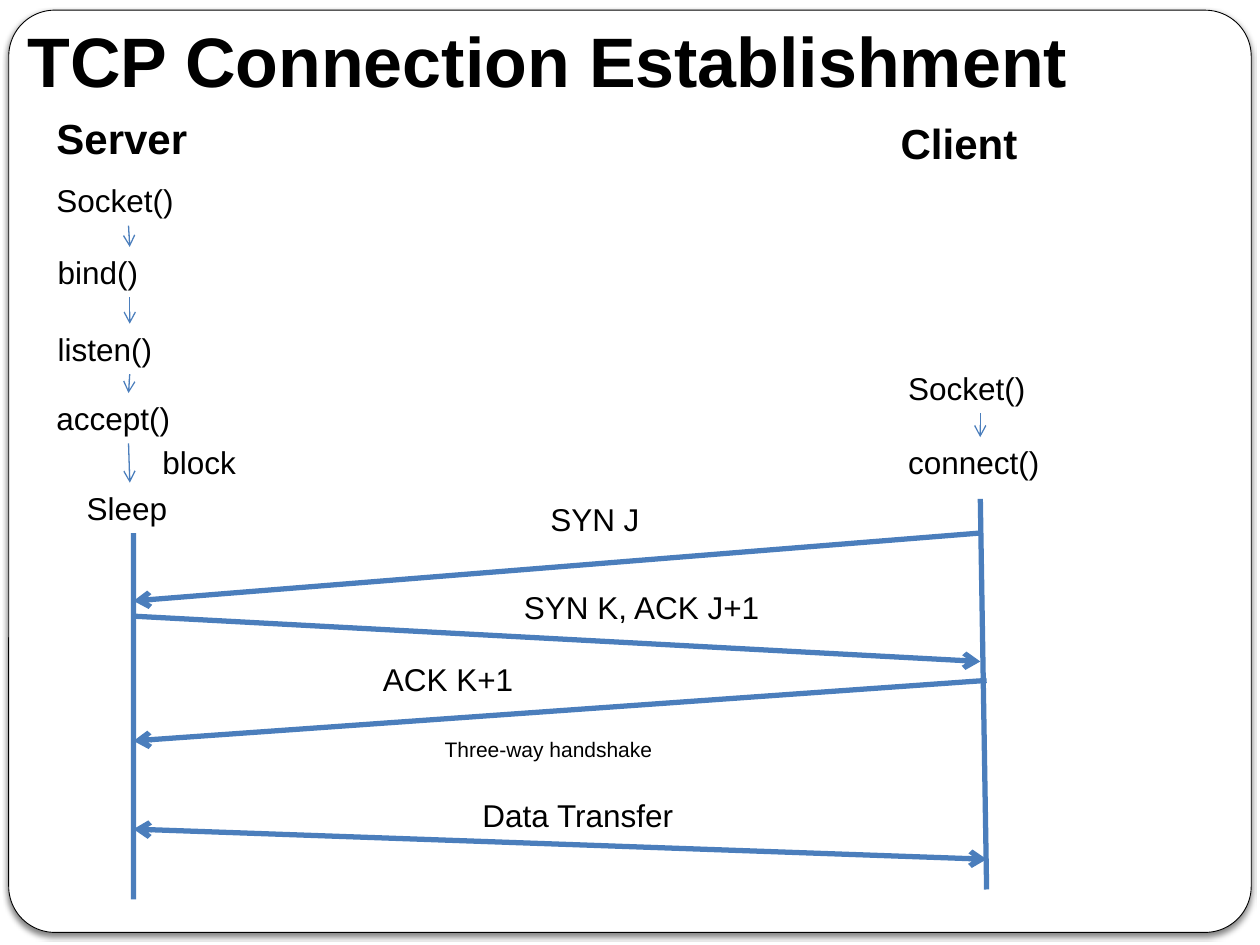
from lxml import etree
from pptx import Presentation
from pptx import util as u
from pptx.dml.color import RGBColor
from pptx.enum import shapes, text
from pptx.oxml import parse_xml
from pptx.oxml.ns import nsdecls, qn

Pt = u.Pt
COLORS = {"ink": "000000", "paper": "FFFFFF", "blue": "4B7EBC"}
TOP, BOTTOM = 0, 2


class Diagram:
    font = "Arial"
    body, heading = 18, 24
    thin, thick = 0.75, 3

    def __init__(self, slide):
        self.slide = slide

    def color(self, name):
        return RGBColor.from_string(COLORS[name])

    def frame(self, x, y, w, h):
        sp = self.slide.shapes.add_shape(
            shapes.MSO_SHAPE.ROUNDED_RECTANGLE, Pt(x), Pt(y), Pt(w), Pt(h))
        sp.adjustments[0] = 0.05
        sp.fill.solid()
        sp.fill.fore_color.rgb = self.color("paper")
        sp.line.color.rgb = self.color("ink")
        sp.line.width = Pt(0.5)
        sp._element.spPr.append(parse_xml(
            f'<a:effectLst {nsdecls("a")}>'
            f'<a:outerShdw blurRad="{Pt(3)}" dist="{Pt(2)}" dir="5400000" rotWithShape="0">'
            f'<a:srgbClr val="{COLORS["ink"]}"><a:alpha val="50000"/></a:srgbClr>'
            '</a:outerShdw></a:effectLst>'))

    def label(self, words, x, y, w, h=28.8, size=body, bold=False, inset=3.6):
        sp = self.slide.shapes.add_textbox(Pt(x), Pt(y), Pt(w), Pt(h))
        tf = sp.text_frame
        tf.word_wrap = True
        tf.vertical_anchor = text.MSO_ANCHOR.TOP
        tf.margin_top = Pt(inset)
        r = tf.paragraphs[0].add_run()
        r.text = words
        r.font.name = self.font
        r.font.size = Pt(size)
        r.font.bold = bold
        r.font.color.rgb = self.color("ink")
        return sp

    def line(self, start, end, width=thick, head=False, tail=False, source=None, target=None):
        cx = self.slide.shapes.add_connector(
            shapes.MSO_CONNECTOR.STRAIGHT, *(Pt(v) for v in (*start, *end)))
        if source is not None:
            cx.begin_connect(source, BOTTOM)
        if target is not None:
            cx.end_connect(target, TOP)
        cx.line.color.rgb = self.color("blue")
        cx.line.width = Pt(width)
        ln = cx.line._get_or_add_ln()
        for tag, shown in (("a:headEnd", head), ("a:tailEnd", tail)):
            if shown:
                etree.SubElement(ln, qn(tag)).set("type", "arrow")
        etree.SubElement(cx._element.spPr, qn("a:effectLst"))
        return cx

    def step(self, source, target):
        start = (source.left + source.width / 2, source.top + source.height)
        end = (target.left + target.width / 2, target.top)
        self.line([v / Pt(1) for v in start], [v / Pt(1) for v in end],
                  self.thin, tail=True, source=source, target=target)


def main():
    prs = Presentation()
    prs.slide_width, prs.slide_height = Pt(720), Pt(540)
    d = Diagram(prs.slides.add_slide(prs.slide_layouts[6]))

    d.frame(5, 5.8, 710, 527)
    d.label("TCP Connection Establishment", 8.6, 2.2, 686, 52.6, 40, True, 8)

    column = 96.5
    d.label("Server", 25.2, 60.5, column, 36, d.heading, True)
    d.label("Client", 507.6, 63.4, column, 36, d.heading, True)

    server = [d.label(words, x, y, column) for words, x, y in (
        ("Socket()", 25.2, 100.1), ("bind()", 25.9, 141.1),
        ("listen()", 25.9, 185), ("accept()", 25.2, 224.6))]
    client = [d.label(words, 511.9, y, column) for words, y in (
        ("Socket()", 207.4), ("connect()", 249.8))]
    for calls in (server, client):
        for source, target in zip(calls, calls[1:]):
            d.step(source, target)

    sleep = d.label("Sleep", 42.5, 275.8, 67.7)
    d.label("block", 85.7, 249.8, 75.6)
    d.line((73.4, 253.4), (74.2, 275.8), d.thin, tail=True, source=server[-1])

    left, right, right_low = 76.3, 560.2, 563.8
    d.line((left, 304.6), (left, 514), source=sleep)
    d.line((right, 285.1), (right_low, 508.3))

    for start, end, both in (
            ((right, 304.6), (left, 343.4), False),
            ((left, 352.1), (right, 378), False),
            ((right_low, 388.8), (left, 423.4), False),
            ((left, 473.8), (right_low, 491), True)):
        d.line(start, end, head=both, tail=True)

    for words, x, y, w in (
            ("SYN J", 307.4, 282.2, 136), ("SYN K, ACK J+1", 292.3, 332.6, 164.2),
            ("ACK K+1", 211.7, 373.7, 164.2), ("Data Transfer", 268.6, 451.4, 148.3)):
        d.label(words, x, y, w)
    d.label("Three-way handshake", 247, 417.6, 232.6, 21.6, 12)

    prs.save("out.pptx")


if __name__ == "__main__":
    main()
